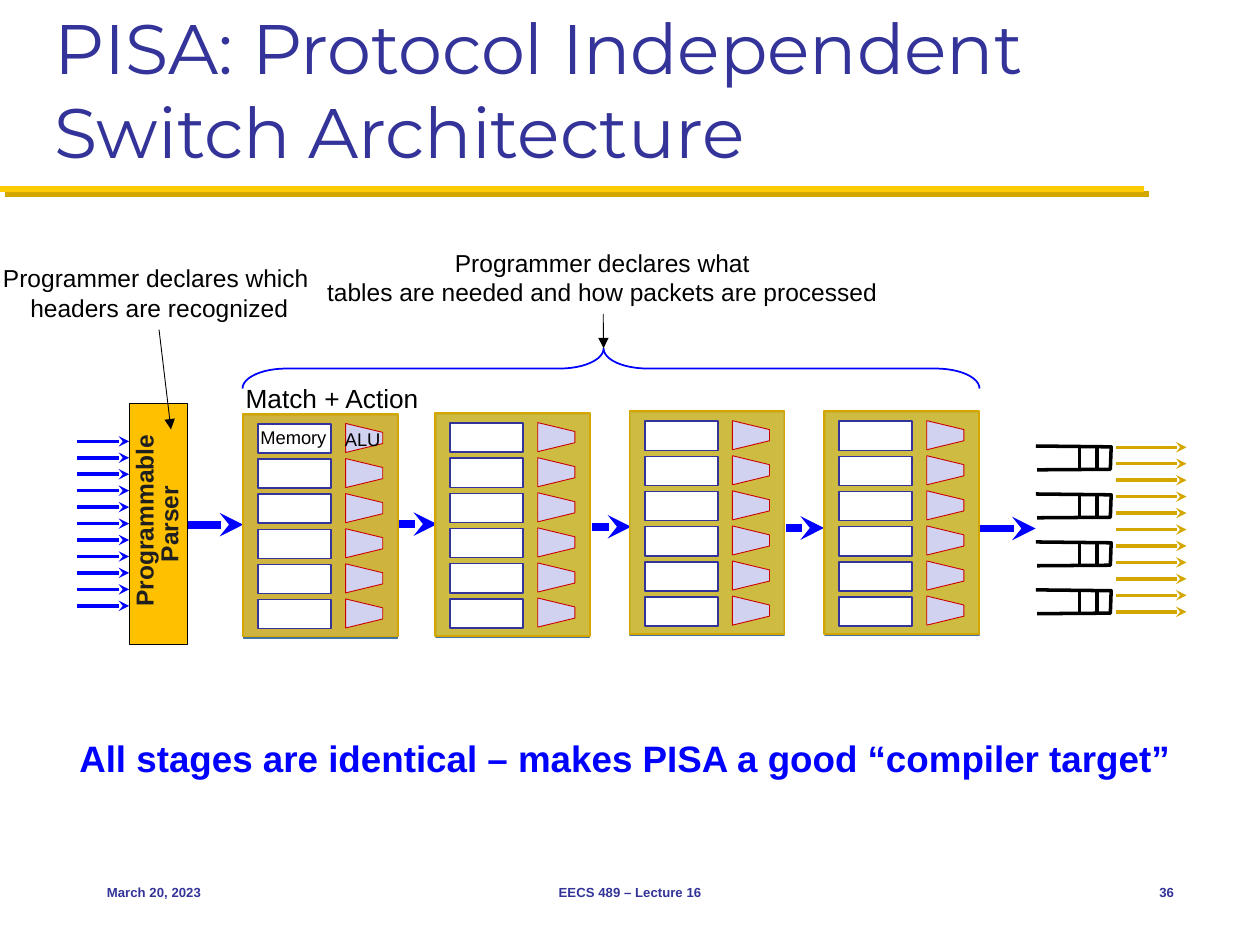
from dataclasses import dataclass

import pptx
import pptx.dml.color
import pptx.enum.shapes
import pptx.enum.text
import pptx.oxml
import pptx.oxml.ns
import pptx.util

Pt = pptx.util.Pt
SHAPE = pptx.enum.shapes.MSO_SHAPE
ALIGN = pptx.enum.text.PP_ALIGN
ANCHOR = pptx.enum.text.MSO_ANCHOR
FIT = pptx.enum.text.MSO_AUTO_SIZE
qn = pptx.oxml.ns.qn


@dataclass(frozen=True)
class Theme:
    title_font: str = "Montserrat"
    body_font: str = "Arial"
    navy: str = "333399"
    blue: str = "0000FF"
    black: str = "000000"
    white: str = "FFFFFF"
    dark: str = "1F1F1F"
    maize: str = "FFCB05"
    amber: str = "FFC000"
    ochre: str = "D3A600"
    backing: str = "5B9BD5"
    backing_edge: str = "43739E"
    alu: str = "D1D1F0"
    alu_edge: str = "CC0000"
    title_size: float = 40
    message_size: float = 21
    heading_size: float = 15
    note_size: float = 14
    unit_size: float = 10.5
    footer_size: float = 7.5


THEME = Theme()


def rgb(color):
    return pptx.dml.color.RGBColor.from_string(color)


def append_xml(parent, tag, attributes=""):
    child = pptx.oxml.parse_xml(f"<a:{tag} {pptx.oxml.ns.nsdecls('a')} {attributes}/>")
    parent.append(child)
    return child


def write(frame, text, size, color, align=ALIGN.LEFT, bold=False, font=THEME.body_font):
    frame.text = text
    for paragraph in frame.paragraphs:
        paragraph.alignment = align
        for run in paragraph.runs:
            run.font.name = font
            run.font.size = Pt(size)
            run.font.bold = bold
            run.font.color.rgb = rgb(color)


def add_label(slide, box, text, size, color=THEME.black, align=ALIGN.LEFT,
              bold=False, wrap=False, anchor=ANCHOR.TOP):
    frame = slide.shapes.add_textbox(*map(Pt, box)).text_frame
    frame.word_wrap = wrap
    frame.vertical_anchor = anchor
    write(frame, text, size, color, align, bold)
    return frame


def add_block(slide, preset, box, fill, edge, width=1, rotation=0, opacity=None):
    block = slide.shapes.add_shape(preset, *map(Pt, box))
    block.rotation = rotation
    block.shadow.inherit = False
    if fill:
        block.fill.solid()
        block.fill.fore_color.rgb = rgb(fill)
    else:
        block.fill.background()
    if opacity:
        tint = block.element.spPr.find(qn("a:solidFill")).find(qn("a:srgbClr"))
        append_xml(tint, "alpha", f'val="{opacity * 1000}"')
    block.line.color.rgb = rgb(edge)
    block.line.width = Pt(width)
    return block


def add_line(slide, start, end, color, width, arrowhead=None):
    """Draw a straight line and return its effect list."""
    straight = pptx.enum.shapes.MSO_CONNECTOR.STRAIGHT
    line = slide.shapes.add_connector(straight, *map(Pt, (*start, *end)))
    line.line.color.rgb = rgb(color)
    line.line.width = Pt(width)
    properties = line.element.spPr
    if arrowhead:
        append_xml(properties.find(qn("a:ln")), "tailEnd", f'type="{arrowhead}"')
    return append_xml(properties, "effectLst")


def add_header(slide):
    effects = add_line(slide, (0, 108), (653.8, 108), THEME.maize, 3.5)
    shadow = append_xml(effects, "outerShdw",
                        f'dist="{Pt(4.2)}" dir="2700000" algn="ctr" rotWithShape="0"')
    append_xml(shadow, "srgbClr", f'val="{THEME.ochre}"')

    title = slide.shapes.title
    title.left, title.top, title.width, title.height = map(Pt, (24, 12, 672, 90))
    frame = title.text_frame
    frame.auto_size = FIT.NONE
    frame.word_wrap = True
    frame.vertical_anchor = ANCHOR.BOTTOM
    write(frame, "PISA: Protocol Independent Switch Architecture", THEME.title_size,
          THEME.navy, font=THEME.title_font)


def add_footer(slide):
    for left, width, text, align in (
        (54, 150, "March 20, 2023", ALIGN.LEFT),
        (246, 228, "EECS 489 – Lecture 16", ALIGN.CENTER),
        (630, 48, "36", ALIGN.RIGHT),
    ):
        add_label(slide, (left, 492, width, 36), text, THEME.footer_size, THEME.navy,
                  align, bold=True, wrap=True, anchor=ANCHOR.MIDDLE)


def add_arrow_column(slide, left, right, top, color, count=11, pitch=9.4):
    for row in range(count):
        y = top + row * pitch
        add_line(slide, (left, y), (right, y), color, 2, "stealth")


def add_queue(slide, top):
    left, right, bottom = 592, 635, top + 13.6
    outline = slide.shapes.build_freeform(Pt(left), Pt(top))
    corners = ((right, top + 0.5), (right - 0.5, bottom - 0.3), (left + 0.7, bottom))
    outline.add_line_segments([(Pt(x), Pt(y)) for x, y in corners], close=False)
    queue = outline.convert_to_shape()
    queue.shadow.inherit = False
    queue.fill.background()
    queue.line.color.rgb = rgb(THEME.black)
    queue.line.width = Pt(2)
    for x in (617, 627):
        add_line(slide, (x, top), (x, bottom), THEME.black, 2)


def add_stage(slide, left, top, fill):
    add_block(slide, SHAPE.RECTANGLE, (left + 0.4, top + 0.7, 88, 127.4),
              THEME.backing, THEME.backing_edge)
    add_block(slide, SHAPE.RECTANGLE, (left, top, 88.6, 127.4), fill, THEME.ochre,
              opacity=70)
    for row in range(6):
        y = top + row * 20.05
        add_block(slide, SHAPE.RECTANGLE, (left + 8.6, y + 6, 41.8, 16.6),
                  THEME.white, THEME.navy)
        alu = add_block(slide, SHAPE.TRAPEZOID, (left + 61, y + 3.3, 16.6, 21.2),
                        THEME.alu, THEME.alu_edge, 0.5, rotation=90)
        alu.adjustments[0] = 0.308


def add_parser(slide):
    parser = add_block(slide, SHAPE.RECTANGLE, (21.8, 282.9, 137.5, 33.1),
                       THEME.amber, THEME.black, 0.5, rotation=270)
    frame = parser.text_frame
    frame.word_wrap = True
    frame.vertical_anchor = ANCHOR.MIDDLE
    frame.margin_left = frame.margin_right = Pt(9.4)
    frame.margin_top = frame.margin_bottom = Pt(4.3)
    write(frame, " Programmable\nParser", THEME.note_size, THEME.dark, ALIGN.CENTER, True)
    for paragraph in frame.paragraphs:
        paragraph.line_spacing = Pt(14.2)


def add_notes_on_stages(slide):
    heading = add_label(slide, (133.9, 215.3, 158.4, 24.5), "Match + Action",
                        THEME.heading_size, wrap=True)
    heading.margin_left = heading.margin_right = Pt(6.5)
    heading.margin_top = heading.margin_bottom = Pt(2.9)
    add_label(slide, (141.8, 239.8, 52.6, 20.2), "Memory", THEME.unit_size)
    add_label(slide, (190, 241, 35.3, 20.2), "ALU", THEME.unit_size)

    add_label(slide, (-5.8, 146.9, 193.7, 41),
              "Programmer declares which \nheaders are recognized",
              THEME.note_size, align=ALIGN.CENTER, wrap=True)
    add_line(slide, (90.9, 188.4), (97.7, 245.4), THEME.black, 0.5, "triangle")

    brace = add_block(slide, SHAPE.RIGHT_BRACE, (337.7, 0, 22.9, 421.2),
                      None, THEME.blue, rotation=270)
    brace.adjustments[0] = 1.093
    brace.adjustments[1] = 0.49
    add_label(slide, (179.3, 138, 329.8, 41),
              "Programmer declares what\ntables are needed and how packets are processed",
              THEME.note_size, align=ALIGN.CENTER)
    add_line(slide, (344.7, 179.4), (344.9, 199), THEME.black, 0.5, "triangle")


def main():
    deck = pptx.Presentation()
    deck.slide_width, deck.slide_height = Pt(720), Pt(540)
    slide = deck.slides.add_slide(deck.slide_layouts[5])

    add_header(slide)
    add_footer(slide)

    # Packets in, queues and packets out
    for index in range(4):
        add_queue(slide, 254.9 + index * 27.4)
    add_arrow_column(slide, 638, 678, 255.6, THEME.ochre)
    add_arrow_column(slide, 44, 73.8, 252.2, THEME.blue)

    # Pipeline from the parser to the queues
    for start, end, y in ((106.6, 139, 299.8), (227.5, 249.8, 299.5), (338.4, 360.7, 301),
                          (449.3, 470.9, 301.7), (559.4, 591.8, 302)):
        add_line(slide, (start, y), (end, y), THEME.blue, 4.5, "stealth")
    for left, top, fill in ((138.8, 236.4, THEME.amber), (248.6, 235.9, THEME.maize),
                            (359.8, 234.8, THEME.maize), (470.9, 234.8, THEME.maize)):
        add_stage(slide, left, top, fill)
    add_parser(slide)
    add_notes_on_stages(slide)

    # Closing message
    add_label(slide, (38.2, 416.9, 644.4, 32.4),
              "All stages are identical – makes PISA a good “compiler target”",
              THEME.message_size, THEME.blue, bold=True)

    deck.save("out.pptx")


if __name__ == "__main__":
    main()
